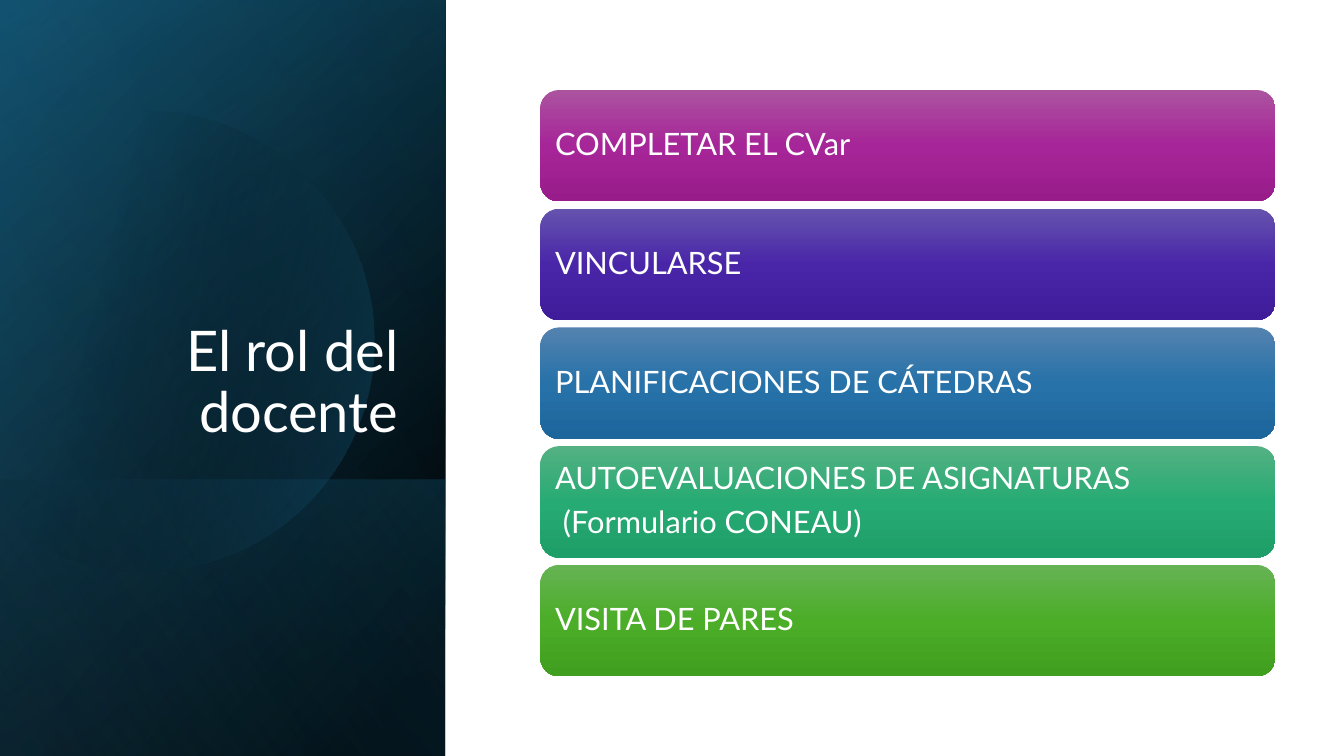
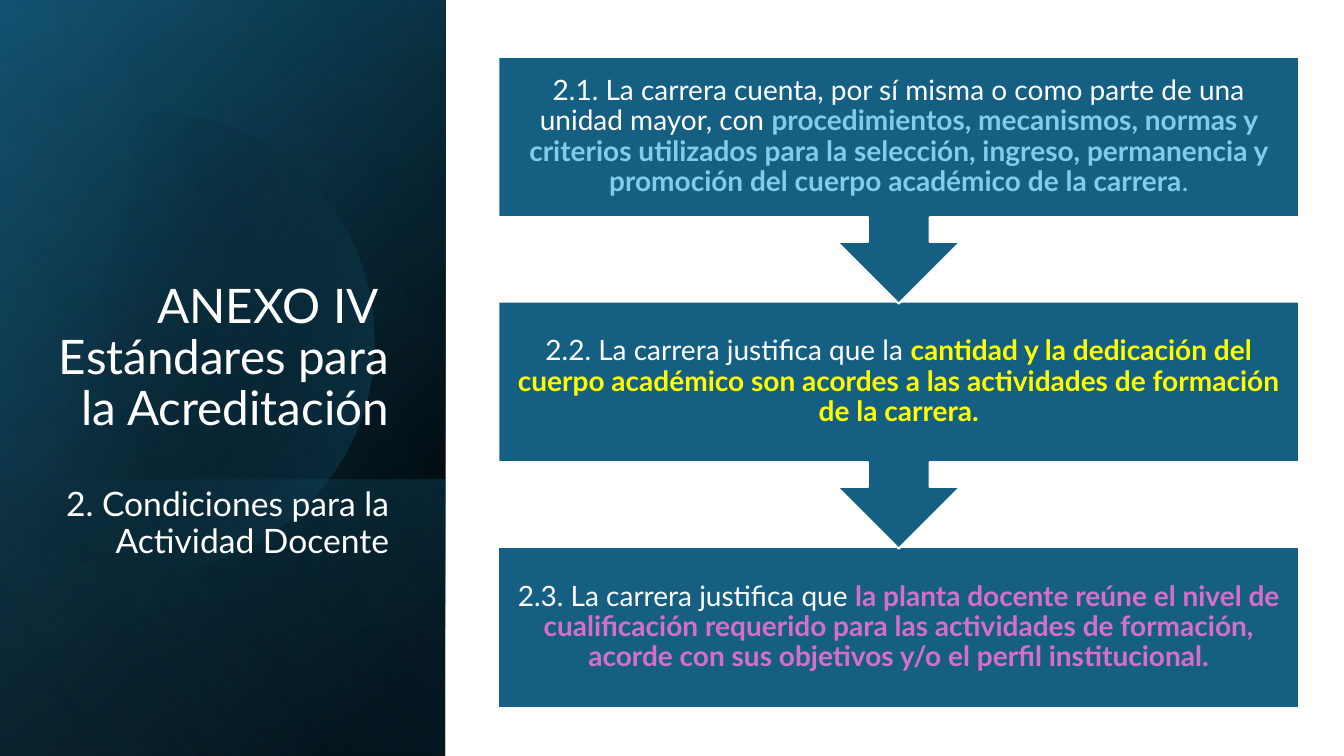
from math import acos, cos, sin

from lxml.etree import SubElement
from pptx import Presentation
from pptx.dml.color import RGBColor
from pptx.enum.shapes import MSO_SHAPE as Preset
from pptx.enum.text import MSO_ANCHOR as Anchor, PP_ALIGN as Align
from pptx.oxml.ns import qn
from pptx.util import Pt

COLORS = {
    "white": "FFFFFF",
    "black": "000000",
    "navy": "104862",
    "teal": "156082",
    "sky": "46B1E1",
    "pale_blue": "83CBEB",
    "yellow": "FFFF00",
    "pink": "D86ECC",
}
FONT = "Lato"
PANEL_WIDTH, PAGE_WIDTH, PAGE_HEIGHT = 318, 960, 540


def paint_gradient(shape, stops, angle):
    shape.shadow.inherit = False
    shape.line.fill.background()
    shape.fill.gradient()
    shape.fill.gradient_angle = (360 - angle) % 360
    stop_list = shape.element.spPr.find(".//" + qn("a:gsLst"))
    stop_list.clear()
    for position, color, alpha in stops:
        stop = SubElement(stop_list, qn("a:gs"), pos=str(position * 1000))
        tint = SubElement(stop, qn("a:srgbClr"), val=color)
        if alpha < 100:
            SubElement(tint, qn("a:alpha"), val=str(alpha * 1000))


def write_text(box, paragraphs, size, align=Align.LEFT, anchor=Anchor.MIDDLE,
               inset=(7.2, 3.6), after=0):
    frame = box.text_frame
    frame.word_wrap = True
    frame.vertical_anchor = anchor
    frame.margin_left = frame.margin_right = Pt(inset[0])
    frame.margin_top = frame.margin_bottom = Pt(inset[1])
    for index, spans in enumerate(paragraphs):
        para = frame.paragraphs[0] if index == 0 else frame.add_paragraph()
        para.alignment = align
        para.line_spacing = 0.9
        para.space_before = Pt(0)
        para.space_after = Pt(after)
        for text, color, bold in spans:
            span = para.add_run()
            span.text = text
            span.font.name = FONT
            span.font.size = Pt(size)
            span.font.bold = bold
            span.font.color.rgb = RGBColor.from_string(COLORS[color])


deck = Presentation()
deck.slide_width, deck.slide_height = Pt(PAGE_WIDTH), Pt(PAGE_HEIGHT)

black, teal = COLORS["black"], COLORS["teal"]
BAND_TOP = 342.7
panel_layers = [
    (0, [(8, black, 100), (100, COLORS["navy"], 100)], 220),
    (0, [(0, black, 0), (99, teal, 46)], 240),
    (BAND_TOP, [(2, teal, 29), (100, black, 30)], 140),
    (None, [(29, black, 0), (100, teal, 43)], 14),
    (0, [(0, black, 0), (99, COLORS["sky"], 11)], 150),
]
CENTER_X, CENTER_Y, RADIUS, ARC_STEPS = 103, 243.5, 164.5, 90
cut_angle = acos(-CENTER_X / RADIUS)
arc_angles = [cut_angle * (2 * step / ARC_STEPS - 1) for step in range(ARC_STEPS + 1)]
arc = [(Pt(CENTER_X + RADIUS * cos(angle)), Pt(CENTER_Y + RADIUS * sin(angle)))
       for angle in arc_angles]

titles = [
    ((46, 132.5, 245.5, 188.6), ["El rol del docente"], 40),
    ((33, 137.5, 252, 266.4),
     ["ANEXO IV ", "Estándares para la Acreditación", "2. Condiciones para la Actividad Docente"], 34),
]
pages = []
for title_place, title_lines, title_size in titles:
    page = deck.slides.add_slide(deck.slide_layouts[6])
    pages.append(page)
    for top, stops, angle in panel_layers:
        if top is None:
            outline = page.shapes.build_freeform(*arc[0], scale=1.0)
            outline.add_line_segments(arc[1:], close=True)
            layer = outline.convert_to_shape()
        else:
            layer = page.shapes.add_shape(
                Preset.RECTANGLE, Pt(0), Pt(top), Pt(PANEL_WIDTH), Pt(PAGE_HEIGHT - top))
        paint_gradient(layer, stops, angle)
    title = page.shapes.add_textbox(*map(Pt, title_place))
    write_text(title, [[(line, "white", False)] for line in title_lines], title_size,
               align=Align.RIGHT, anchor=Anchor.BOTTOM)

role_page, standards_page = pages

subtitle = title.text_frame.paragraphs[-1]
subtitle.space_before = Pt(37)
subtitle.runs[0].font.size = Pt(24)

roles = [
    (["COMPLETAR EL CVar"], ("AC53A0", "A62598", "991C8B")),
    (["VINCULARSE"], ("6553AE", "4926A8", "3E1C9A")),
    (["PLANIFICACIONES DE CÁTEDRAS"], ("5382AF", "2772A9", "1D669C")),
    (["AUTOEVALUACIONES DE ASIGNATURAS", " (Formulario CONEAU)"], ("54B183", "27AB74", "1E9E68")),
    (["VISITA DE PARES"], ("66B354", "4BAD28", "409F1E")),
]
for row, (lines, shades) in enumerate(roles):
    bar = role_page.shapes.add_shape(
        Preset.ROUNDED_RECTANGLE, Pt(386), Pt(64.3 + 84.8 * row), Pt(525), Pt(79.6))
    paint_gradient(bar, [(50 * index, shade, 100) for index, shade in enumerate(shades)], 90)
    write_text(bar, [[(line, "white", False)] for line in lines], 22, inset=(6.6, 6.6), after=7.7)

standards = [
    (Preset.DOWN_ARROW_CALLOUT, 176.4, [
        ("2.1. La carrera cuenta, por sí misma o como parte de una unidad mayor, con ", "white", False),
        ("procedimientos, mecanismos, normas y criterios utilizados para la selección, ingreso, "
         "permanencia y promoción del cuerpo académico de la carrera", "pale_blue", True),
        (".", "pale_blue", False)]),
    (Preset.DOWN_ARROW_CALLOUT, 176.4, [
        ("2.2. La carrera justifica que la ", "white", False),
        ("cantidad y la dedicación del cuerpo académico son acordes a las actividades de "
         "formación de la carrera.", "yellow", True)]),
    (Preset.RECTANGLE, 115, [
        ("2.3. La carrera justifica que ", "white", False),
        ("la planta docente reúne el nivel de cualificación requerido para las actividades de "
         "formación, acorde con sus objetivos y/o el perfil institucional.", "pink", True)]),
]
for row, (preset, height, spans) in reversed(list(enumerate(standards))):
    step = standards_page.shapes.add_shape(
        preset, Pt(356), Pt(40.5 + 175 * row), Pt(572), Pt(height))
    step.shadow.inherit = False
    step.fill.solid()
    step.fill.fore_color.rgb = RGBColor.from_string(teal)
    step.line.color.rgb = RGBColor.from_string(COLORS["white"])
    step.line.width = Pt(1.5)
    write_text(step, [spans], 20, align=Align.CENTER, inset=(11.2, 11.2), after=7)

deck.save("out.pptx")
